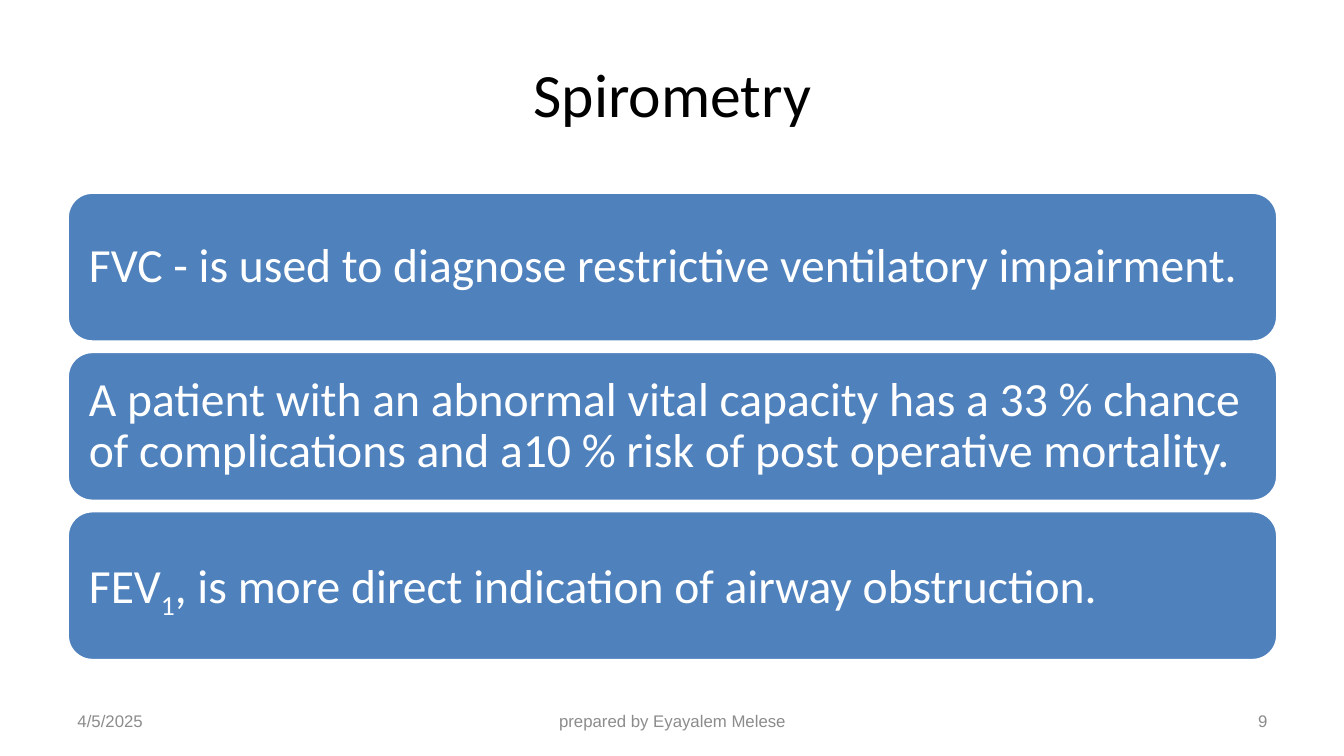
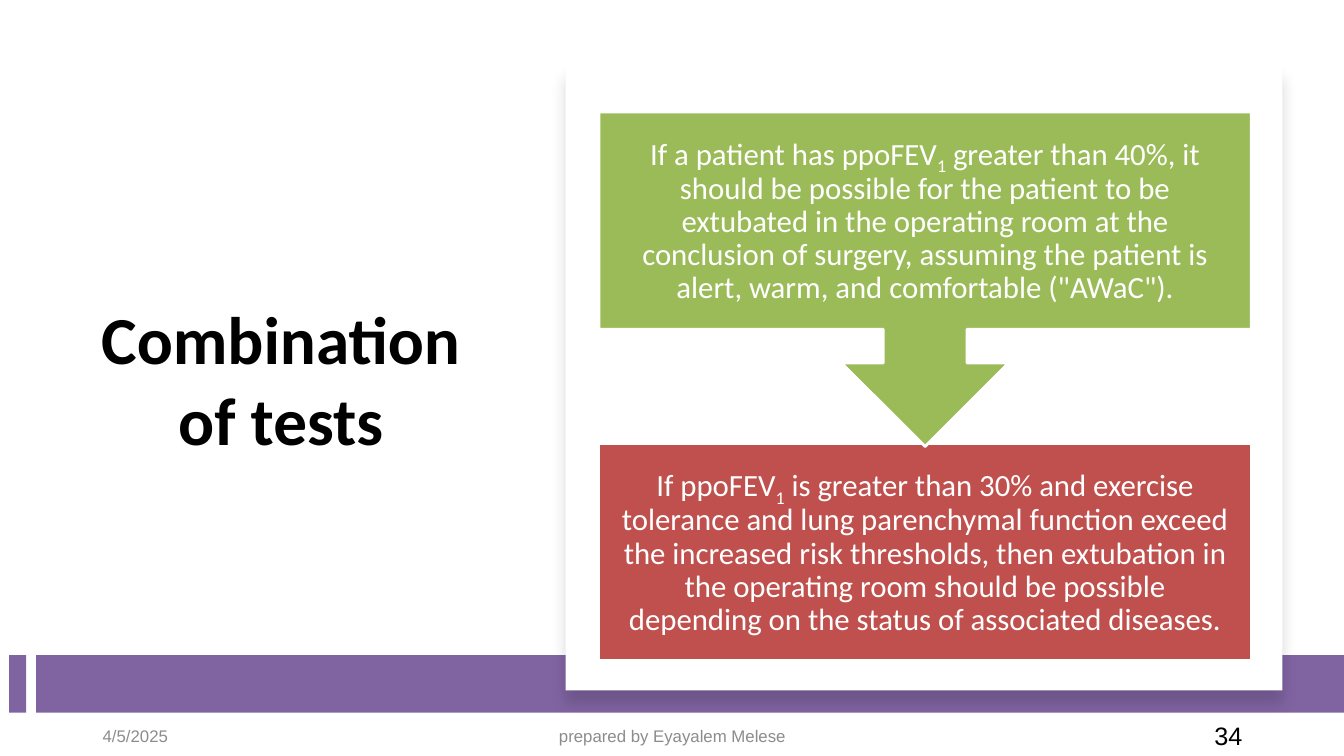
from pptx import Presentation
from pptx.dml.color import RGBColor
from pptx.enum.shapes import MSO_SHAPE
from pptx.enum.text import MSO_ANCHOR, PP_ALIGN
from pptx.oxml import parse_xml
from pptx.oxml.ns import nsdecls
from pptx.util import Inches, Pt

WHITE, BLACK, GREY = "FFFFFF", "000000", "8C8C8C"
BLUE, PURPLE, GREEN, RED = "4F81BD", "8064A2", "9BBB59", "C0504D"
HEADING, SMALL = "Calibri", "Arial"
LEFT, CENTER, RIGHT = PP_ALIGN.LEFT, PP_ALIGN.CENTER, PP_ALIGN.RIGHT
DATE, AUTHOR = "4/5/2025", "prepared by Eyayalem Melese"

# Every second part of a statement is a subscript.
SPIROMETRY = [
    ("FVC - is used to diagnose restrictive ventilatory impairment.",),
    ("A patient with an abnormal vital capacity has a 33 % chance of "
     "complications and a10 % risk of post operative mortality.",),
    ("FEV", "1", ", is more direct indication of airway obstruction."),
]
EXTUBATION = ("If a patient has ppoFEV", "1",
              " greater than 40%, it should be possible for the patient to be "
              "extubated in the operating room at the conclusion of surgery, "
              "assuming the patient is alert, warm, and comfortable (\"AWaC\").")
LOWER_LIMIT = ("If ppoFEV", "1",
               " is greater than 30% and exercise tolerance and lung parenchymal "
               "function exceed the increased risk thresholds, then extubation in "
               "the operating room should be possible depending on the status of "
               "associated diseases.")


def rgb(color):
    return RGBColor.from_string(color)


def inches(box):
    return [Inches(v) for v in box]


def write(sp, parts, size, color, font=HEADING, align=LEFT, bold=False,
          inset=None, spacing=None):
    tf = sp.text_frame
    tf.word_wrap = True
    tf.vertical_anchor = MSO_ANCHOR.MIDDLE
    if inset is not None:
        tf.margin_left = tf.margin_right = Inches(inset)
        tf.margin_top = tf.margin_bottom = Inches(inset)
    p = tf.paragraphs[0]
    p.alignment = align
    if spacing:
        p.line_spacing = spacing
    for i, part in enumerate(parts):
        r = p.add_run()
        r.text = part
        r.font.size, r.font.name, r.font.bold = Pt(size), font, bold
        r.font.color.rgb = rgb(color)
        if i % 2:
            r.font._element.set("baseline", "-25000")


def add_block(s, kind, box, fill, outlined=False):
    sp = s.shapes.add_shape(kind, *inches(box))
    sp.shadow.inherit = False
    sp.fill.solid()
    sp.fill.fore_color.rgb = rgb(fill)
    if outlined:
        sp.line.color.rgb = rgb(WHITE)
        sp.line.width = Pt(2)
    else:
        sp.line.fill.background()
    return sp


def add_soft_shadow(sp):
    """Replace the empty effect list by a faint shadow below the shape."""
    spPr = sp._element.spPr
    spPr.replace(spPr.find("{*}effectLst"), parse_xml(
        f'<a:effectLst {nsdecls("a")}><a:outerShdw blurRad="{Pt(11)}" '
        f'dist="{Pt(10)}" dir="5400000" algn="t" rotWithShape="0">'
        f'<a:srgbClr val="{BLACK}"><a:alpha val="15000"/></a:srgbClr>'
        '</a:outerShdw></a:effectLst>'))


def add_slide(prs, title, box, size, bold=False):
    s = prs.slides.add_slide(prs.slide_layouts[5])
    sp = s.shapes.title
    sp.left, sp.top, sp.width, sp.height = inches(box)
    write(sp, [title], size, BLACK, align=CENTER, bold=bold)
    return s


def add_footer(s, number, left, top, side_width, center_width,
               number_size=12, number_color=GREY):
    """Place date, author and slide number symmetrically about the middle."""
    right = left + 12 if side_width > 3 else left + 11.5
    center = (left + right) / 2
    for text, x, width, align, size, color in [
            (DATE, left, side_width, LEFT, 12, GREY),
            (AUTHOR, center - center_width / 2, center_width, CENTER, 12, GREY),
            (number, right - side_width, side_width, RIGHT,
             number_size, number_color)]:
        sp = s.shapes.add_textbox(*inches((x, top, width, 0.4)))
        write(sp, [text], size, color, SMALL, align)


def build_spirometry(prs):
    s = add_slide(prs, "Spirometry", (0.67, 0.3, 12, 1.25), 44)
    top, height, gap = 1.91, 1.48, 0.1
    for i, parts in enumerate(SPIROMETRY):
        box = 0.67, top + i * (height + gap), 12, height
        sp = add_block(s, MSO_SHAPE.ROUNDED_RECTANGLE, box, BLUE, True)
        write(sp, parts, 34, WHITE, inset=0.14, spacing=0.9)
    add_footer(s, "9", 0.67, 6.95, 3.11, 4.22)


def build_combination(prs):
    s = add_slide(prs, "Combination of tests", (0.71, 1.2, 4.15, 5.1), 48, True)
    for left, width in [(0.09, 0.17), (0.36, 12.97)]:
        add_block(s, MSO_SHAPE.RECTANGLE, (left, 6.5, width, 0.57), PURPLE)
    add_soft_shadow(add_block(s, MSO_SHAPE.RECTANGLE,
                              (5.61, 0.64, 7.11, 6.21), WHITE))
    add_footer(s, "34", 0.92, 7.1, 3, 4.5, 18, BLACK)

    left, width, height = 5.94, 6.47, 2.15
    style = dict(align=CENTER, inset=0.17, spacing=0.9)
    lower = add_block(s, MSO_SHAPE.RECTANGLE, (left, 4.4, width, height),
                      RED, True)
    write(lower, LOWER_LIMIT, 22, WHITE, **style)
    callout = add_block(s, MSO_SHAPE.UP_ARROW_CALLOUT,
                        (left, 1.11, width, 3.32), GREEN, True)
    callout.rotation = 180
    upper = s.shapes.add_textbox(*inches((left, 1.11, width, height)))
    write(upper, EXTUBATION, 22, WHITE, **style)


def main():
    prs = Presentation()
    prs.slide_width, prs.slide_height = Inches(13.33), Inches(7.5)
    build_spirometry(prs)
    build_combination(prs)
    prs.save("out.pptx")


if __name__ == "__main__":
    main()
